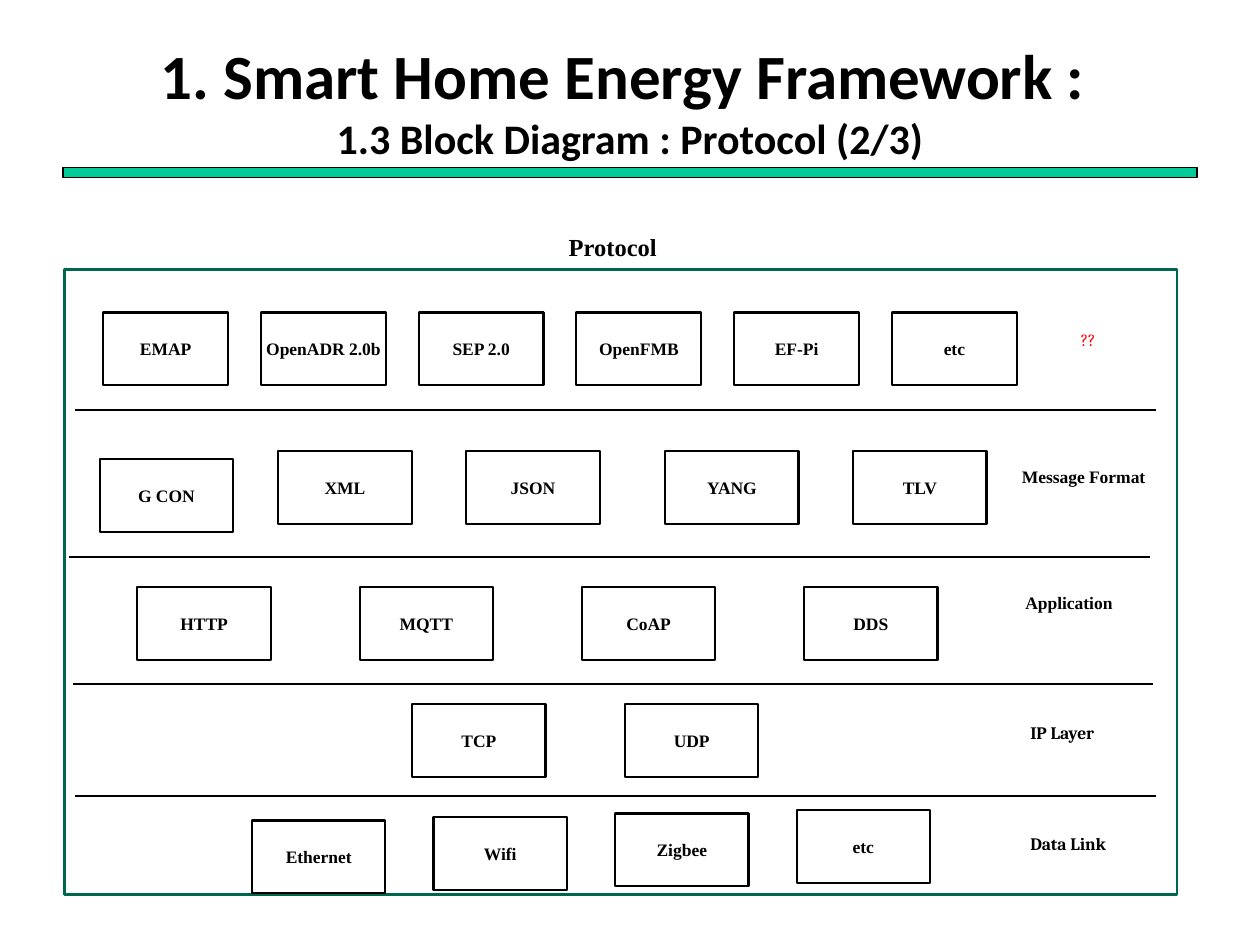
"""Build the protocol block diagram slide of the smart home energy framework."""
import pptx
import pptx.dml.color
import pptx.enum.shapes
import pptx.enum.text
import pptx.oxml.ns
import pptx.util
from lxml import etree

Cm = pptx.util.Cm
Pt = pptx.util.Pt
RECTANGLE = pptx.enum.shapes.MSO_SHAPE.RECTANGLE
STRAIGHT = pptx.enum.shapes.MSO_CONNECTOR.STRAIGHT
CENTER = pptx.enum.text.PP_ALIGN.CENTER
MIDDLE = pptx.enum.text.MSO_ANCHOR.MIDDLE


def color(value):
    return pptx.dml.color.RGBColor.from_string(value)


def write(para, text, font="Times New Roman", size=10, bold=True, ink="000000", align=None):
    para.alignment = align
    span = para.add_run()
    span.text = text
    span.font.name = font
    span.font.size = Pt(size)
    span.font.bold = bold
    span.font.color.rgb = color(ink)


deck = pptx.Presentation()
deck.slide_width = Cm(25.4)
deck.slide_height = Cm(19.05)
page = deck.slides.add_slide(deck.slide_layouts[6])

bar = page.shapes.add_shape(RECTANGLE, Cm(1.27), Cm(3.38), Cm(22.86), Cm(0.2))
bar.shadow.inherit = False
bar.fill.solid()
bar.fill.fore_color.rgb = color("00CC99")
bar.line.color.rgb = color("000000")
bar.line.width = Pt(0.75)

title = page.shapes.add_textbox(Cm(1.27), Cm(0.84), Cm(22.86), Cm(2.34))
title.text_frame.word_wrap = True
title.text_frame.vertical_anchor = MIDDLE
para = title.text_frame.paragraphs[0]
write(para, "1. Smart Home Energy Framework : ", font="Calibri", size=36, align=CENTER)
para.add_line_break()
write(para, "1.3 Block Diagram : Protocol (2/3)", font="Calibri", size=24, align=CENTER)

frame = page.shapes.add_shape(RECTANGLE, Cm(1.3), Cm(5.44), Cm(22.43), Cm(12.6))
frame.shadow.inherit = False
frame.fill.background()
frame.line.color.rgb = color("00664D")
frame.line.width = Pt(1.5)

heading = page.shapes.add_textbox(Cm(11.2), Cm(4.55), Cm(2.31), Cm(0.86))
heading.text_frame.word_wrap = False
write(heading.text_frame.paragraphs[0], "Protocol", size=14, align=CENTER)

standards = ["EMAP", "OpenADR 2.0b", "SEP 2.0", "OpenFMB", "EF-Pi", "etc"]
formats = [("G CON", 2.01, 9.25), ("XML", 5.61, 9.09), ("JSON", 9.4, 9.09),
           ("YANG", 13.41, 9.09), ("TLV", 17.2, 9.09)]
blocks = [(name, 2.08 + 3.18 * i, 6.3, 2.52) for i, name in enumerate(standards)]
blocks += [(name, left, top, 2.69) for name, left, top in formats]
for names, left, pitch, top, rise in [
    (["HTTP", "MQTT", "CoAP", "DDS"], 2.77, 4.48, 11.84, 0),
    (["TCP", "UDP"], 8.31, 4.29, 14.2, 0),
    (["Ethernet", "Wifi", "Zigbee", "etc"], 5.08, 3.66, 16.54, 0.07),
]:
    blocks += [(name, left + pitch * i, top - rise * i, 2.69) for i, name in enumerate(names)]

for name, left, top, width in blocks:
    box = page.shapes.add_shape(RECTANGLE, Cm(left), Cm(top), Cm(width), Cm(1.47))
    box.shadow.inherit = False
    box.fill.background()
    box.line.color.rgb = color("000000")
    box.line.width = Pt(1.25)
    box.text_frame.word_wrap = False
    box.text_frame.vertical_anchor = MIDDLE
    write(box.text_frame.paragraphs[0], name, align=CENTER)

for left, top in [(1.52, 8.26), (1.4, 11.23), (1.47, 13.79), (1.52, 16.05)]:
    divider = page.shapes.add_connector(STRAIGHT, Cm(left), Cm(top), Cm(left + 21.78), Cm(top))
    divider.line.color.rgb = color("000000")
    divider.line.width = Pt(1)
    etree.SubElement(divider.element.spPr, pptx.oxml.ns.qn("a:effectLst"))

for text, left, top, width, style in [
    ("??", 21.54, 6.5, 3.4, {"font": "Cambria", "bold": False, "ink": "FF0000"}),
    ("Message Format", 20.35, 9.27, 3.4, {}),
    ("Application", 20.42, 11.81, 3.4, {}),
    ("IP Layer", 20.52, 14.43, 2.46, {"font": "Cambria"}),
    ("Data Link", 20.52, 16.66, 2.46, {"font": "Cambria"}),
]:
    label = page.shapes.add_textbox(Cm(left), Cm(top), Cm(width), Cm(1.45))
    label.text_frame.word_wrap = True
    write(label.text_frame.paragraphs[0], text, **style)

deck.save("out.pptx")
